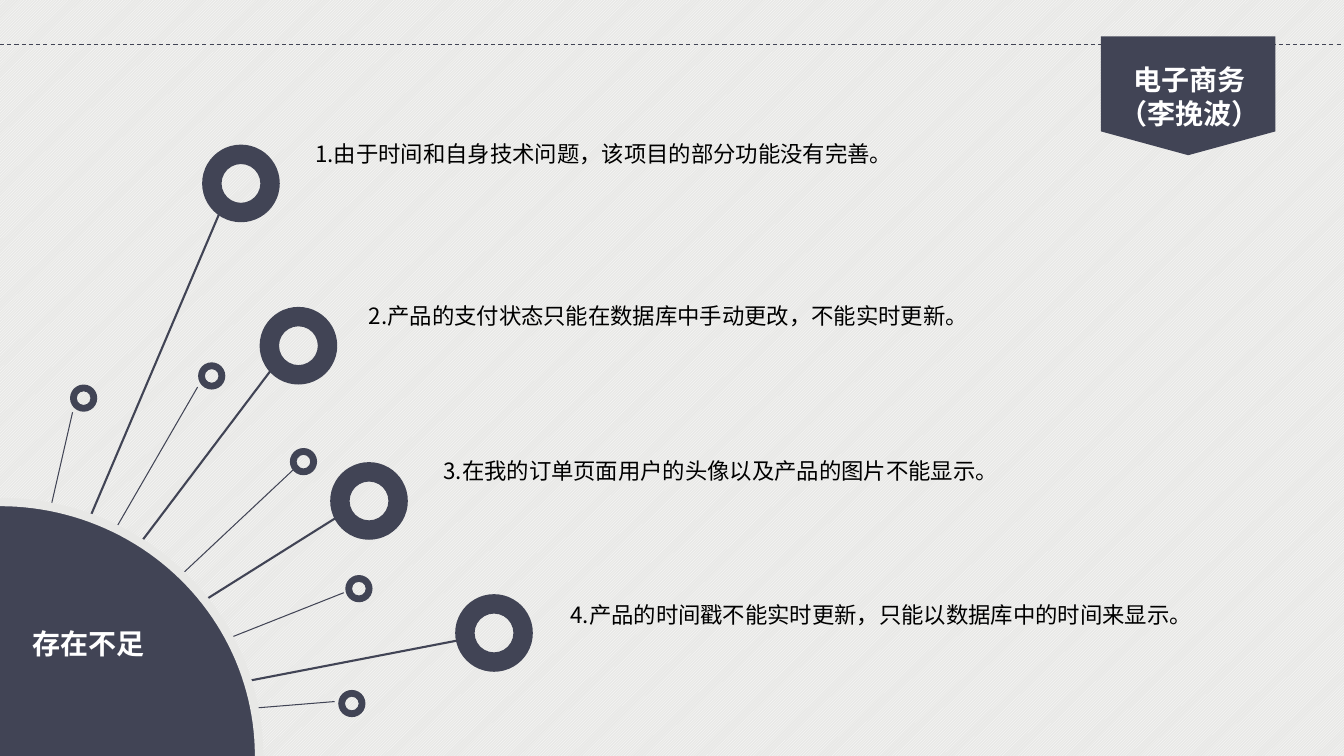
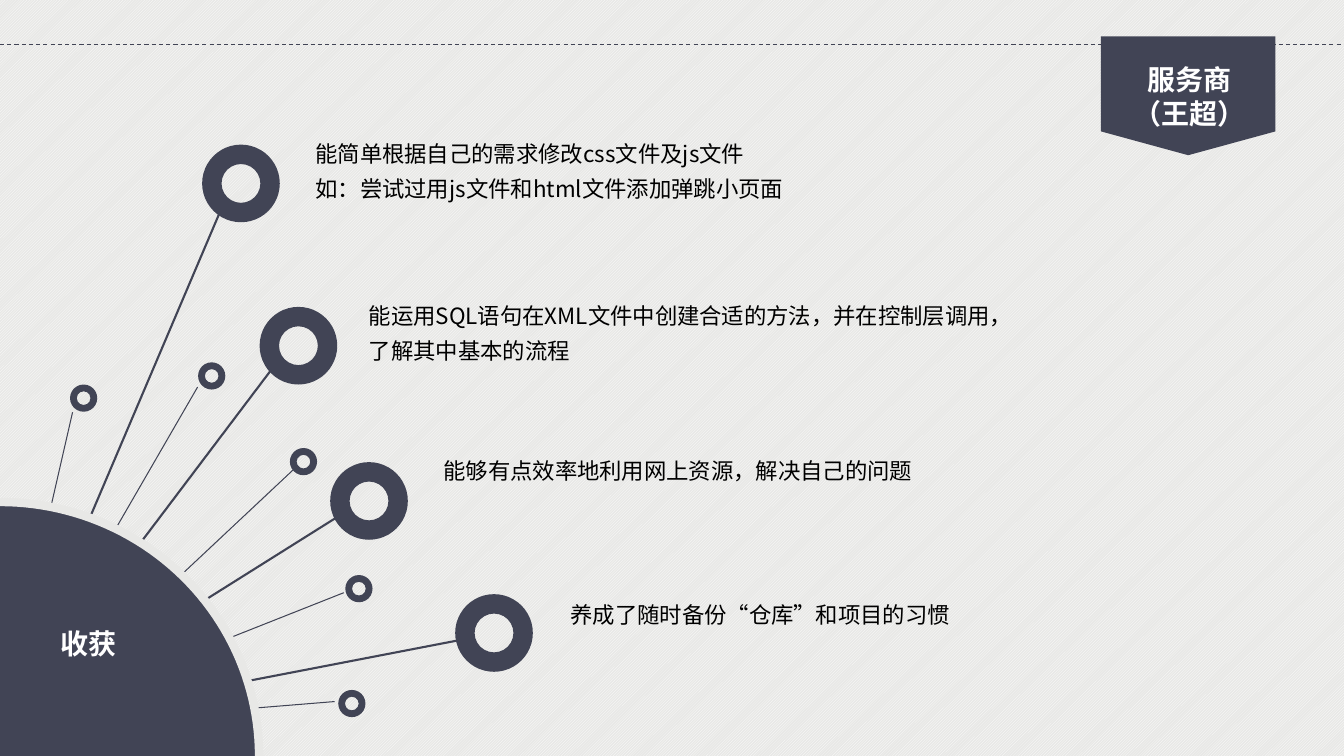
from math import cos, pi, sin

from lxml import etree
from pptx import Presentation
from pptx.dml.color import RGBColor
from pptx.enum.dml import MSO_LINE_DASH_STYLE as Dash, MSO_PATTERN_TYPE as Pattern
from pptx.enum.shapes import MSO_CONNECTOR as Connector, MSO_SHAPE as Shape
from pptx.enum.text import MSO_ANCHOR as Anchor, MSO_AUTO_SIZE as AutoSize, PP_ALIGN as Align
from pptx.oxml.ns import qn
from pptx.util import Inches, Pt

FONT = "Noto Sans CJK SC"
COLORS = {"dark": "414455", "paper": "E8E8E6", "white": "FFFFFF", "black": "000000"}

SLIDES = [
    {
        "title": ["电子商务", "（李挽波）"],
        "topic": "存在不足",
        "points": [
            ["1.由于时间和自身技术问题，该项目的部分功能没有完善。"],
            ["2.产品的支付状态只能在数据库中手动更改，不能实时更新。"],
            ["3.在我的订单页面用户的头像以及产品的图片不能显示。"],
            ["4.产品的时间戳不能实时更新，只能以数据库中的时间来显示。"],
        ],
    },
    {
        "title": ["服务商", "（王超）"],
        "topic": "收获",
        "points": [
            ["能简单根据自己的需求修改css文件及js文件",
             "如：尝试过用js文件和html文件添加弹跳小页面"],
            ["能运用SQL语句在XML文件中创建合适的方法，并在控制层调用，了解其中基本的流程"],
            ["能够有点效率地利用网上资源，解决自己的问题"],
            ["养成了随时备份“仓库”和项目的习惯"],
        ],
    },
]

SLIDE_W, SLIDE_H = 13.33, 7.5
HUB = (0, 7.23)
SECTOR_RX, SECTOR_RY = 2.57, 2.52
ARC_STEPS = 48

# Ring centre, outer end of its spoke, inner end of its spoke
SMALL_RINGS = [
    ((0.83, 3.95), (0.72, 4.09), HUB),
    ((2.1, 3.73), (1.96, 3.84), HUB),
    ((3.01, 4.58), (2.92, 4.65), (0, 7.39)),
    ((3.56, 5.84), (3.41, 5.88), HUB),
    ((3.49, 6.98), (3.32, 6.96), HUB),
]
LARGE_RINGS = [
    ((2.39, 1.82), (2.2, 2.06), HUB),
    ((2.96, 3.43), (2.72, 3.63), HUB),
    ((3.66, 4.97), (3.36, 5.12), HUB),
    ((4.9, 6.28), (4.56, 6.35), HUB),
]
RING_SIZES = [(SMALL_RINGS, 0.27, 0.75), (LARGE_RINGS, 0.77, 1.5)]
POINT_PLACES = [(3.03, 1.26), (3.56, 2.87), (4.3, 4.41), (5.56, 5.83)]


def color(name):
    return RGBColor.from_string(COLORS[name])


def paint(shape, fill=None, line=None, width=0):
    shape.shadow.inherit = False
    if fill:
        shape.fill.solid()
        shape.fill.fore_color.rgb = color(fill)
    else:
        shape.fill.background()
    if line:
        shape.line.color.rgb = color(line)
        shape.line.width = Pt(width)
    else:
        shape.line.fill.background()


def draw_line(slide, start, end, width, dash=None):
    line = slide.shapes.add_connector(
        Connector.STRAIGHT, *(Inches(v) for v in (*start, *end)))
    line.line.color.rgb = color("dark")
    line.line.width = Pt(width)
    if dash:
        line.line.dash_style = dash
    etree.SubElement(line.element.spPr, qn("a:effectLst"))


def draw_preset(slide, preset, left, top, width, height):
    shape = slide.shapes.add_shape(
        preset, *(Inches(v) for v in (left, top, width, height)))
    paint(shape, fill="dark")
    return shape


def draw_outline(slide, points, close, **style):
    start, *rest = [(Inches(x), Inches(y)) for x, y in points]
    builder = slide.shapes.build_freeform(*start)
    builder.add_line_segments(rest, close=close)
    paint(builder.convert_to_shape(), **style)


def write(shape, lines, size=20, ink="white", bold=True, align=Align.CENTER, spacing=None):
    frame = shape.text_frame
    frame.word_wrap = True
    frame.auto_size = AutoSize.NONE
    frame.vertical_anchor = Anchor.TOP
    for index, line in enumerate(lines):
        paragraph = frame.add_paragraph() if index else frame.paragraphs[0]
        paragraph.alignment = align
        if spacing:
            paragraph.line_spacing = spacing
        run = paragraph.add_run()
        run.text = line
        run.font.size, run.font.bold, run.font.name = Pt(size), bold, FONT
        run.font.color.rgb = color(ink)
        etree.SubElement(run.font._element, qn("a:ea"), typeface=FONT)


def add_text(slide, left, top, width, height, lines, **text_format):
    box = slide.shapes.add_textbox(*(Inches(v) for v in (left, top, width, height)))
    write(box, lines, **text_format)


def draw_sunburst(slide):
    """Draw the spokes and rings around the quarter disc in the corner."""
    for rings, _, width in RING_SIZES:
        for _, outer, inner in rings:
            draw_line(slide, outer, inner, width)
    angles = [pi / 2 * (1 - step / ARC_STEPS) for step in range(ARC_STEPS + 1)]
    arc = [(SECTOR_RX * cos(a), SLIDE_H - SECTOR_RY * sin(a)) for a in angles]
    draw_outline(slide, arc + [(0, SLIDE_H)], close=True, fill="dark")
    draw_outline(slide, arc, close=False, line="paper", width=6)
    for rings, size, _ in RING_SIZES:
        for (x, y), _, _ in rings:
            ring = draw_preset(slide, Shape.DONUT, x - size / 2, y - size / 2, size, size)
            ring.adjustments[0] = 0.25


def set_title(slide, lines):
    draw_line(slide, (0, 0.44), (SLIDE_W, 0.44), 0.75, Dash.DASH)
    draw_preset(slide, Shape.FLOWCHART_OFFPAGE_CONNECTOR, 10.92, 0.36, 1.73, 1.18)
    title = slide.shapes.title
    title.left, title.top = Inches(10.95), Inches(0.57)
    title.width, title.height = Inches(1.69), Inches(0.77)
    write(title, lines)
    title.element.getparent().append(title.element)  # in front of the badge


def build_slide(deck, content):
    slide = deck.slides.add_slide(deck.slide_layouts.get_by_name("Title Only"))
    draw_sunburst(slide)
    set_title(slide, content["title"])
    add_text(slide, 0.11, 6.17, 1.53, 0.44, [content["topic"]])
    for (left, top), lines in zip(POINT_PLACES, content["points"]):
        add_text(slide, left, top, 6.46, 0.79, lines, size=16, ink="black",
                 bold=False, align=Align.LEFT, spacing=1.3)


def main():
    deck = Presentation()
    deck.slide_width, deck.slide_height = Inches(SLIDE_W), Inches(SLIDE_H)
    backdrop = deck.slide_master.background.fill
    backdrop.patterned()
    backdrop.pattern = Pattern.LIGHT_UPWARD_DIAGONAL
    backdrop.fore_color.rgb = color("white")
    backdrop.back_color.rgb = color("paper")
    for content in SLIDES:
        build_slide(deck, content)
    deck.save("out.pptx")


if __name__ == "__main__":
    main()
